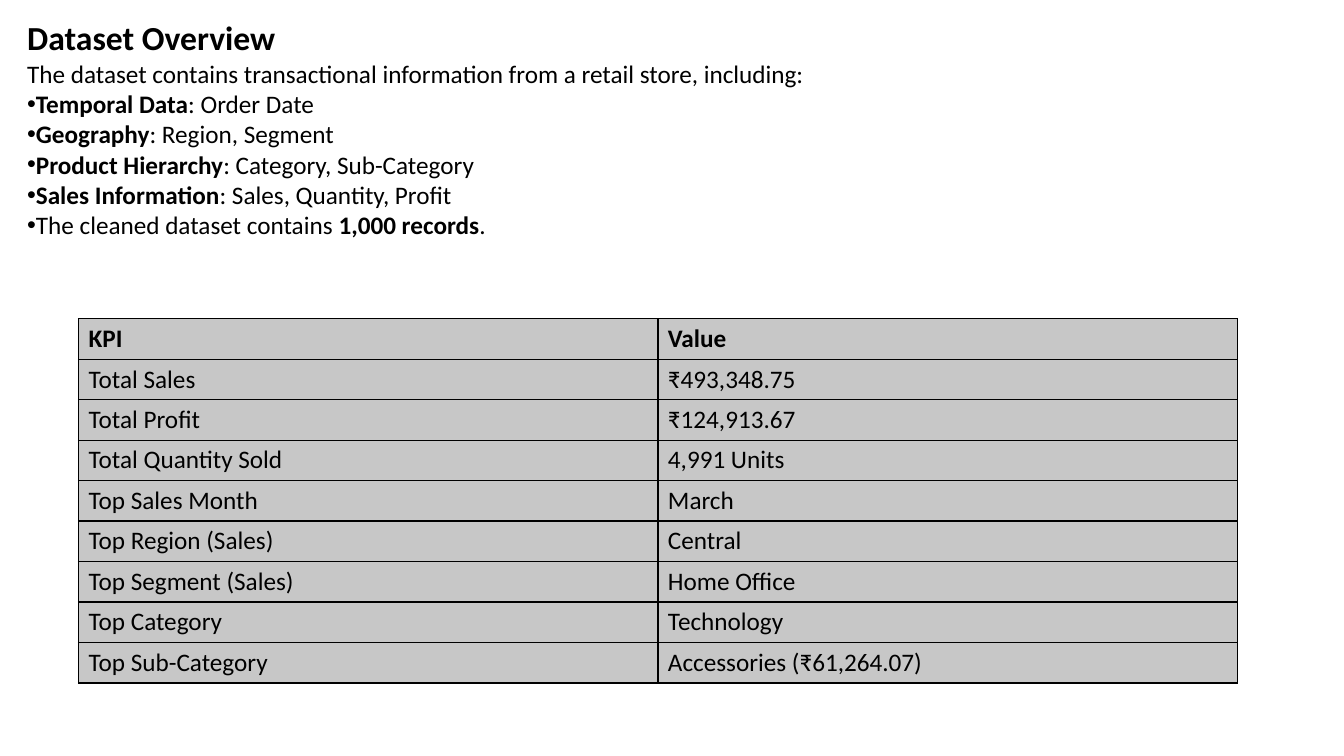
from lxml.etree import SubElement
from pptx import Presentation
from pptx.dml.color import RGBColor
from pptx.enum.text import MSO_ANCHOR as Anchor, MSO_AUTO_SIZE as AutoSize, PP_ALIGN as Align
from pptx.oxml.ns import qn
from pptx.util import Cm, Pt

BLACK = RGBColor(0x00, 0x00, 0x00)
GREY = RGBColor(0xC7, 0xC7, 0xC7)

TITLE = "Dataset Overview"
INTRO = "The dataset contains transactional information from a retail store, including:"
# Each line is a list of (text, bold) spans.
BULLETS = [
    [("Temporal Data", True), (": Order Date", False)],
    [("Geography", True), (": Region, Segment", False)],
    [("Product Hierarchy", True), (": Category, Sub-Category", False)],
    [("Sales Information", True), (": Sales, Quantity, Profit", False)],
    [("The cleaned dataset contains ", False), ("1,000 records", True), (".", False)],
]
KPI_ROWS = [
    ("KPI", "Value"),
    ("Total Sales", "₹493,348.75"),
    ("Total Profit", "₹124,913.67"),
    ("Total Quantity Sold", "4,991 Units"),
    ("Top Sales Month", "March"),
    ("Top Region (Sales)", "Central"),
    ("Top Segment (Sales)", "Home Office"),
    ("Top Category", "Technology"),
    ("Top Sub-Category", "Accessories (₹61,264.07)"),
]


def add_span(para, text, font="Calibri", size=18, bold=False, color=BLACK):
    span = para.add_run()
    span.text = text
    span.font.name = font
    span.font.size = Pt(size)
    span.font.bold = bold
    span.font.color.rgb = color


def format_para(para, bullet=None):
    """Remove spacing and indents, then set or clear the bullet."""
    para.alignment = Align.LEFT
    para.line_spacing = 1.0
    para.space_before = para.space_after = Pt(0)
    props = para._p.get_or_add_pPr()
    props.set("marL", "0")
    props.set("indent", "0")
    if bullet:
        SubElement(props, qn("a:buFont"), typeface="Arial")
        SubElement(props, qn("a:buChar"), char=bullet)
    else:
        SubElement(props, qn("a:buNone"))


def outline_cell(cell, color=BLACK, width=1):
    props = cell._tc.get_or_add_tcPr()
    for side in ("lnL", "lnR", "lnT", "lnB"):
        line = SubElement(props, qn(f"a:{side}"), w=str(Pt(width)))
        fill = SubElement(line, qn("a:solidFill"))
        SubElement(fill, qn("a:srgbClr"), val=str(color))


class SlideBuilder:
    """Holds the current slide and the style of its elements."""

    def __init__(self, deck):
        self.page = deck.slides.add_slide(deck.slide_layouts[1])

    def place(self, box, left, top, width, height):
        box.left, box.top, box.width, box.height = map(Cm, (left, top, width, height))
        frame = box.text_frame
        frame.word_wrap = True
        frame.auto_size = AutoSize.NONE
        frame.vertical_anchor = Anchor.TOP
        return frame

    def title(self, text, *position):
        para = self.place(self.page.shapes.title, *position).paragraphs[0]
        format_para(para)
        add_span(para, text, size=24, bold=True)

    def body(self, intro, bullets, *position):
        frame = self.place(self.page.placeholders[1], *position)
        format_para(frame.paragraphs[0])
        add_span(frame.paragraphs[0], intro)
        for spans in bullets:
            para = frame.add_paragraph()
            format_para(para, bullet="•")
            for text, bold in spans:
                add_span(para, text, bold=bold)

    def table(self, rows, left, top, column_width, row_height):
        columns = len(rows[0])
        table = self.page.shapes.add_table(
            len(rows), columns, Cm(left), Cm(top),
            Cm(column_width * columns), Cm(row_height * len(rows))).table
        for column in table.columns:
            column.width = Cm(column_width)
        for row_index, values in enumerate(rows):
            table.rows[row_index].height = Cm(row_height)
            for column_index, value in enumerate(values):
                cell = table.cell(row_index, column_index)
                cell.vertical_anchor = Anchor.MIDDLE
                cell.margin_top = cell.margin_bottom = Cm(0.1)
                outline_cell(cell)
                cell.fill.solid()
                cell.fill.fore_color.rgb = GREY
                add_span(cell.text_frame.paragraphs[0], value, bold=row_index == 0)


def main():
    deck = Presentation()
    deck.slide_width, deck.slide_height = Cm(33.87), Cm(19.05)
    builder = SlideBuilder(deck)
    builder.title(TITLE, 0.43, 0.3, 27.9, 1.29)
    builder.body(INTRO, BULLETS, 0.43, 1.34, 27.9, 4.86)
    builder.table(KPI_ROWS, 1.98, 8.03, 14.6, 1.02)
    deck.save("out.pptx")


if __name__ == "__main__":
    main()
